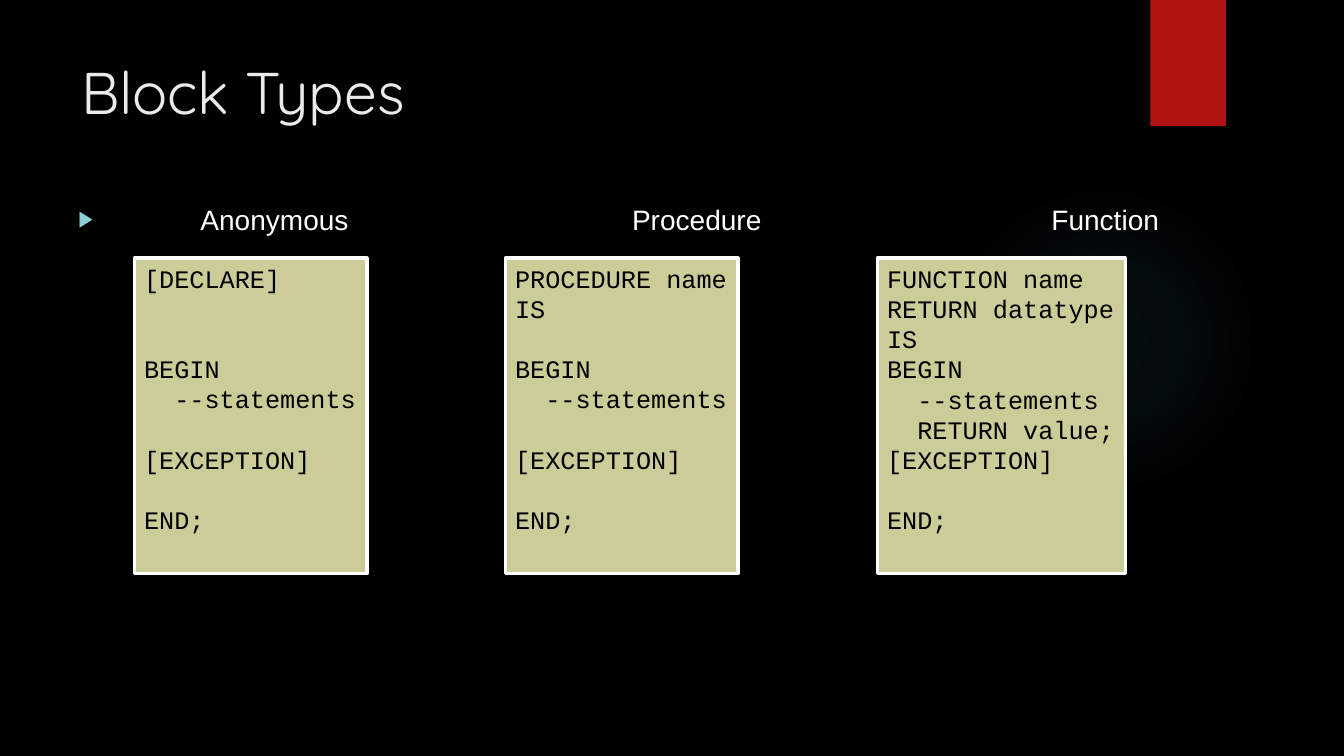
from dataclasses import dataclass

from lxml import etree
from pptx import Presentation
from pptx.dml.color import RGBColor
from pptx.enum.shapes import MSO_SHAPE
from pptx.enum.text import MSO_ANCHOR, PP_ALIGN
from pptx.oxml import parse_xml
from pptx.oxml.ns import nsdecls, qn
from pptx.util import Inches, Pt

RECT, OVAL = MSO_SHAPE.RECTANGLE, MSO_SHAPE.OVAL
TOP, LEFT = MSO_ANCHOR.TOP, PP_ALIGN.LEFT

COLORS = {
    "background": "000000", "glow": "50B9C1", "ribbon": "B01513",
    "title": "EBEBEB", "heading": "FFFFFF", "bullet": "8AD0D6",
    "box": "CCCC99", "border": "FFFFFF", "code": "000000",
}
GLOW_STOPS = [(0, 7), (36, 6), (69, 0)]  # position %, opacity %
BOX_TOP, BOX_HEIGHT = 2.56, 3.13
BODY_LEFT, INSET = 0.68, 0.1
LINE_PT = 21.5
STEP_INDENT = 0.3


@dataclass
class Line:
    text: str
    blank_before: int = 0
    indented: bool = False


@dataclass
class Block:
    heading: str
    heading_left: float
    left: float
    width: float
    opening: list[Line]
    statements: list[Line]
    exception_gap: int = 1

    def lines(self) -> list[Line]:
        return [*self.opening, *self.statements,
                Line("[EXCEPTION]", self.exception_gap), Line("END;", 1)]


STATEMENTS = Line("--statements", indented=True)
BLOCKS = [
    Block("Anonymous", 1.99, 1.33, 2.31,
          [Line("[DECLARE]"), Line("BEGIN", 2)], [STATEMENTS]),
    Block("Procedure", 6.27, 5.01, 2.31,
          [Line("PROCEDURE name"), Line("IS"), Line("BEGIN", 1)], [STATEMENTS]),
    Block("Function", 10.43, 8.7, 2.46,
          [Line("FUNCTION name"), Line("RETURN datatype"), Line("IS"), Line("BEGIN")],
          [STATEMENTS, Line("RETURN value;", indented=True)], 0),
]


def rgb(name: str) -> RGBColor:
    return RGBColor.from_string(COLORS[name])


def style(p, font: str, size: float, color: str) -> None:
    for r in p.runs:
        r.font.name, r.font.size = font, Pt(size)
        r.font.color.rgb = rgb(color)


def add_plain_shape(s, kind, left: float, top: float, width: float, height: float, color: str):
    sp = s.shapes.add_shape(kind, Inches(left), Inches(top), Inches(width), Inches(height))
    sp.shadow.inherit = False
    sp.fill.solid()
    sp.fill.fore_color.rgb = rgb(color)
    sp.line.fill.background()
    return sp


def add_glow(s) -> None:
    sp = add_plain_shape(s, OVAL, 9.41, 1.83, 3.08, 3.08, "glow")
    stops = "".join(
        f'<a:gs pos="{pos * 1000}"><a:srgbClr val="{COLORS["glow"]}">'
        f'<a:alpha val="{alpha * 1000}"/></a:srgbClr></a:gs>'
        for pos, alpha in GLOW_STOPS)
    gradient = parse_xml(
        f'<a:gradFill {nsdecls("a")}><a:gsLst>{stops}</a:gsLst><a:path path="circle">'
        '<a:fillToRect l="50000" t="50000" r="50000" b="50000"/></a:path></a:gradFill>')
    solid = sp._element.spPr.find(qn("a:solidFill"))
    solid.getparent().replace(solid, gradient)


def add_title(s, text: str) -> None:
    title = s.shapes.title
    title.left, title.top = Inches(0.71), Inches(0.5)
    title.width, title.height = Inches(10.29), Inches(1.53)
    tf = title.text_frame
    tf.text = text
    tf.vertical_anchor = TOP
    p = tf.paragraphs[0]
    p.alignment = LEFT
    style(p, "Quicksand", 42, "title")


def add_headings(s) -> None:
    """Put the block names on one bulleted line, at tab stops."""
    tf = s.shapes.add_textbox(Inches(BODY_LEFT), Inches(1.96), Inches(11.55), Inches(0.77)).text_frame
    tf.word_wrap = True
    p = tf.paragraphs[0]
    p.text = "\t".join(block.heading for block in BLOCKS)
    style(p, "Arial", 20, "heading")
    stops = [Inches(round(block.heading_left - BODY_LEFT - INSET, 2)) for block in BLOCKS]
    pPr = p._p.get_or_add_pPr()
    pPr.set("marL", str(stops[0]))
    pPr.set("indent", str(-stops[0]))
    color = etree.SubElement(pPr, qn("a:buClr"))
    etree.SubElement(color, qn("a:srgbClr"), val=COLORS["bullet"])
    etree.SubElement(pPr, qn("a:buSzPct"), val="80000")
    etree.SubElement(pPr, qn("a:buFont"), typeface="Arial")
    etree.SubElement(pPr, qn("a:buChar"), char="▶")
    tabs = etree.SubElement(pPr, qn("a:tabLst"))
    for stop in stops[1:]:
        etree.SubElement(tabs, qn("a:tab"), pos=str(stop), algn="l")


def add_code_box(s, block: Block) -> None:
    sp = add_plain_shape(s, RECT, block.left, BOX_TOP, block.width, BOX_HEIGHT, "box")
    sp.line.color.rgb = rgb("border")
    sp.line.width = Pt(2.25)
    tf = sp.text_frame
    tf.word_wrap = False
    tf.vertical_anchor = TOP
    lines = block.lines()
    tf.text = "\n".join(line.text for line in lines)
    for p, line in zip(tf.paragraphs, lines):
        p.alignment = LEFT
        p.space_before = Pt(line.blank_before * LINE_PT)
        if line.indented:
            p._p.get_or_add_pPr().set("marL", str(Inches(STEP_INDENT)))
        style(p, "Courier New", 18, "code")


def main() -> None:
    prs = Presentation()
    prs.slide_width, prs.slide_height = Inches(13.33), Inches(7.5)
    s = prs.slides.add_slide(prs.slide_layouts[5])
    s.background.fill.solid()
    s.background.fill.fore_color.rgb = rgb("background")
    add_glow(s)
    add_plain_shape(s, RECT, 11.41, 0, 0.75, 1.25, "ribbon")
    add_title(s, "Block Types")
    add_headings(s)
    for block in BLOCKS:
        add_code_box(s, block)
    prs.save("out.pptx")


if __name__ == "__main__":
    main()
